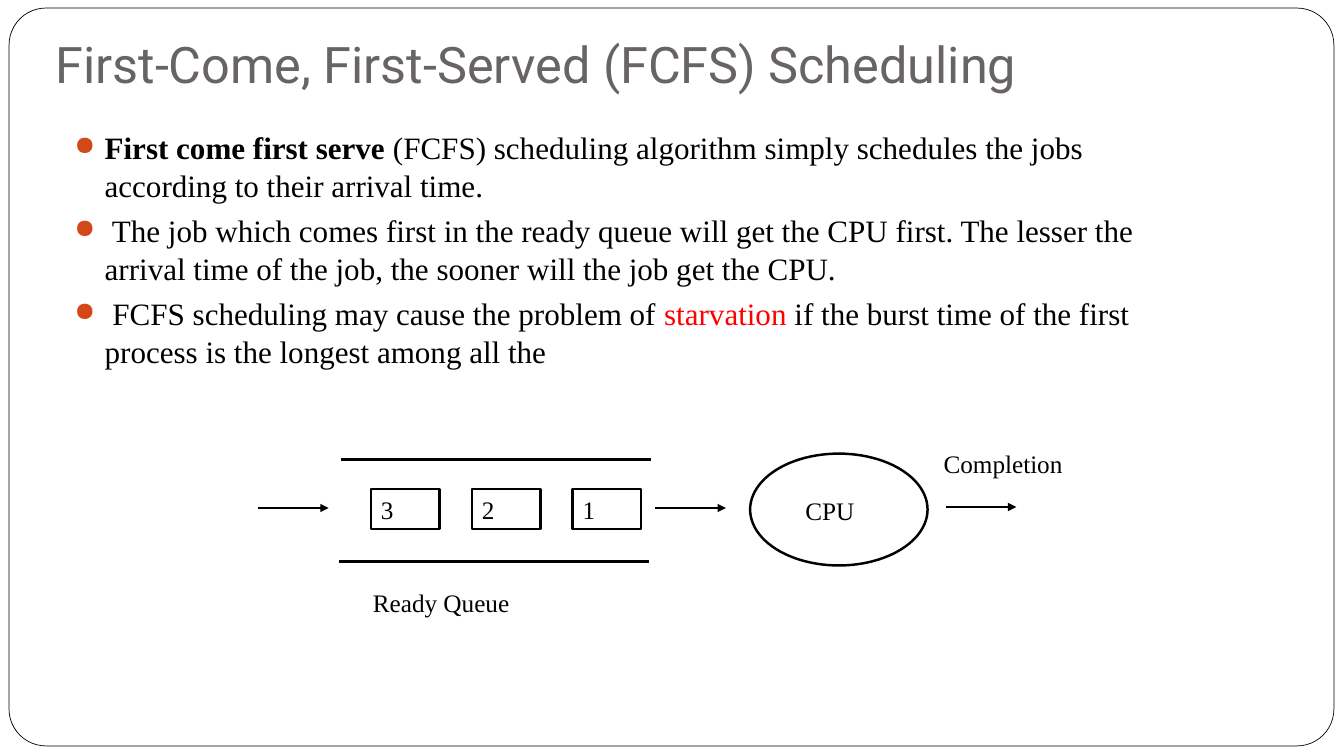
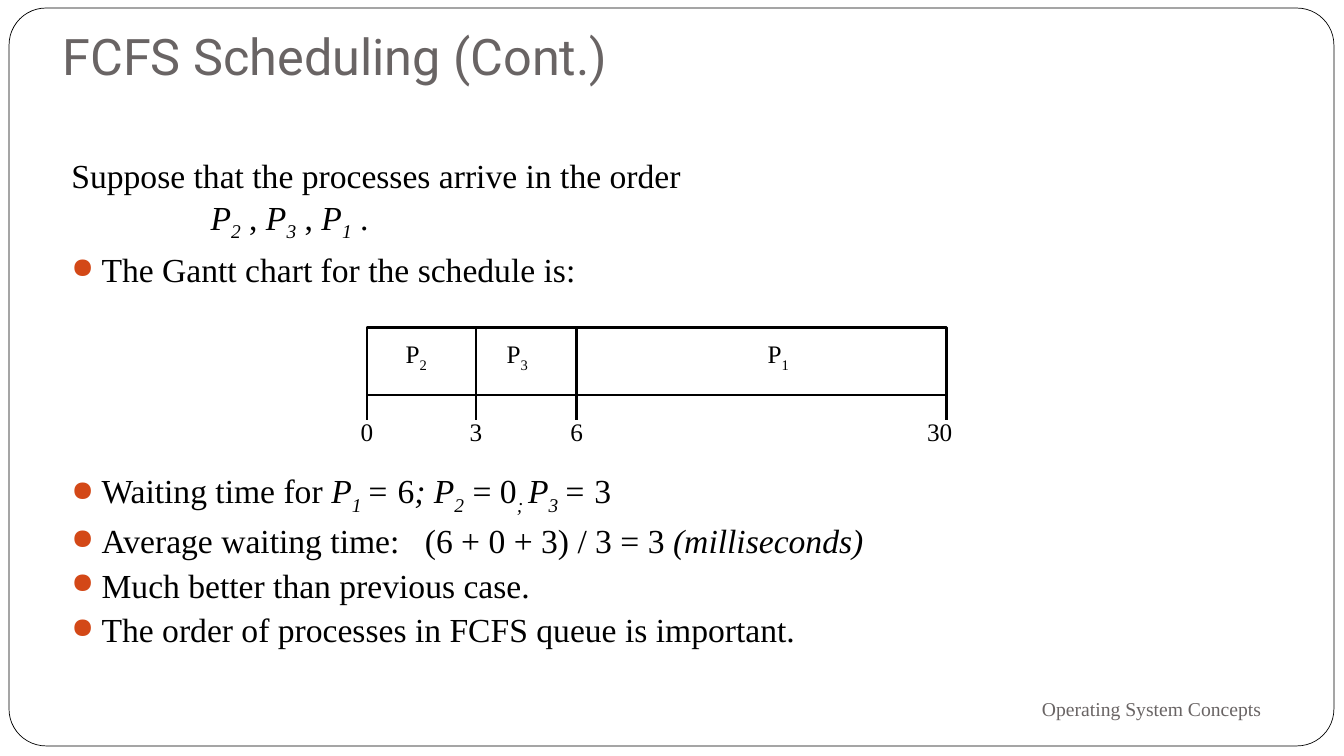
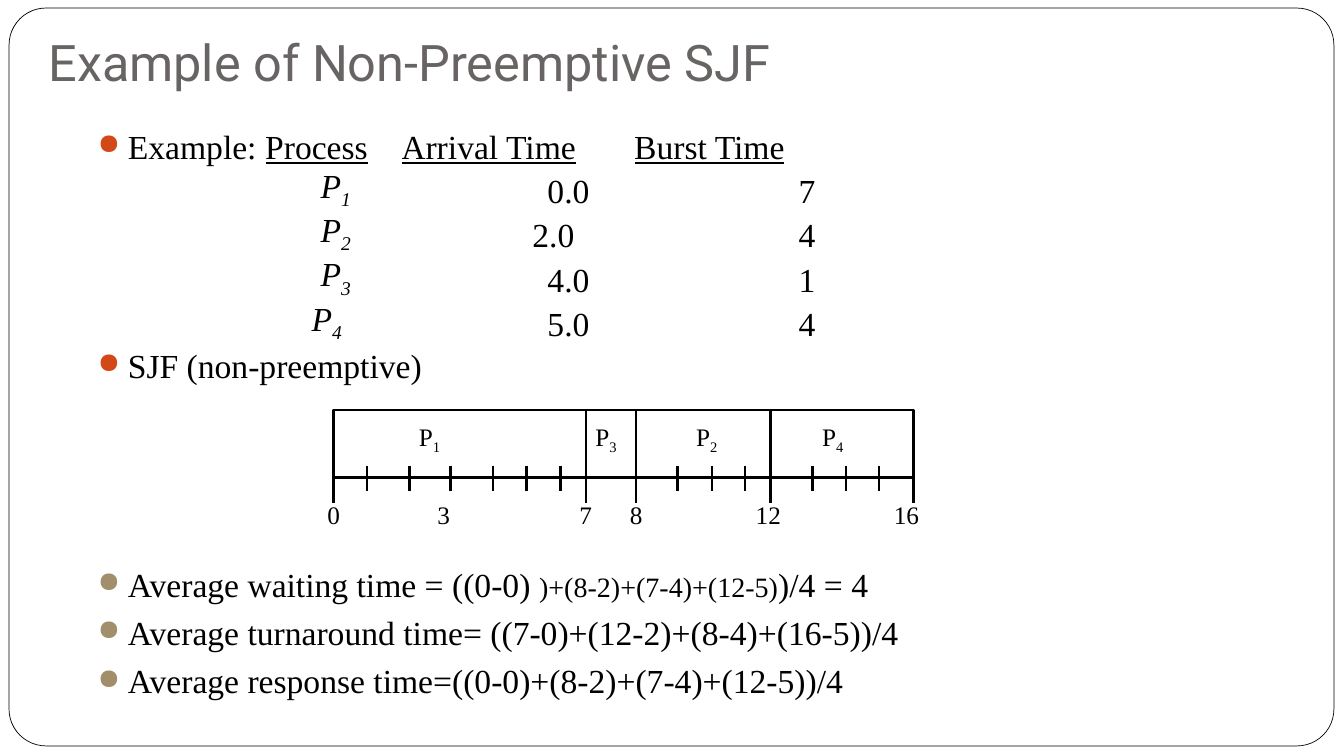
from pptx import Presentation
from pptx import util as u
from pptx.dml.color import RGBColor
from pptx.enum import shapes, text
from pptx.oxml.ns import qn
from lxml import etree

INK, GREY, RED = "000000", "696464", "FF0000"
ORANGE, TAN, WHITE = "D34817", "A28E6A", "FFFFFF"
SERIF = "Times New Roman"
BODY = {"name": SERIF, "size": u.Pt(24), "color": INK}
LABEL = {**BODY, "size": u.Pt(18)}
TITLE = {"name": "Roboto", "size": u.Pt(36), "color": GREY}
ITALIC = {"italic": True}
SUB = {"baseline": "-25000"}
ITALIC_SUB = {**ITALIC, **SUB}


def color(code):
    return RGBColor.from_string(code)


def process(number, **style):
    """Runs for a process name with its subscript number."""
    return [("P", style), (number, {**style, **SUB})]


def add_xml(parent, tag, **values):
    child = etree.SubElement(parent, qn(tag))
    for key, value in values.items():
        child.set(key, value)
    return child


class Slides:
    def __init__(self):
        self.deck = Presentation()
        self.deck.slide_width = u.Inches(13.33)
        self.deck.slide_height = u.Inches(7.5)
        self.page = None

    def new_page(self, title, left, top, width, height):
        self.page = self.deck.slides.add_slide(self.deck.slide_layouts[5])
        frame = self.shape("ROUNDED_RECTANGLE", 0.09, 0.08, 13.14, 7.32, WHITE, 0.5)
        frame.adjustments[0] = 0.05
        self.page.shapes._spTree.insert(2, frame._element)  # send to back
        box = self.page.shapes.title
        self.place(box, left, top, width, height)
        self.format_frame(box.text_frame, text.MSO_ANCHOR.BOTTOM)
        box.text_frame.margin_bottom = u.Inches(0.1)
        para = box.text_frame.paragraphs[0]
        para.alignment = text.PP_ALIGN.LEFT
        self.add_runs(para, [title], TITLE)

    def place(self, item, *bounds):
        for name, value in zip(("left", "top", "width", "height"), bounds):
            setattr(item, name, u.Inches(value))

    def format_frame(self, frame, anchor):
        values = {"word_wrap": True, "auto_size": text.MSO_AUTO_SIZE.NONE,
                  "vertical_anchor": anchor}
        for name, value in values.items():
            setattr(frame, name, value)

    def add_runs(self, para, runs, base):
        """Add runs, each a string or a (string, format) pair."""
        for run in runs:
            words, extra = (run, {}) if isinstance(run, str) else run
            span = para.add_run()
            span.text = words
            for name, value in {**base, **extra}.items():
                if name == "color":
                    span.font.color.rgb = color(value)
                elif name in ("baseline", "spc"):
                    span._r.get_or_add_rPr().set(name, value)
                else:
                    setattr(span.font, name, value)

    def shape(self, kind, left, top, width, height, fill=None, weight=1.75):
        item = self.page.shapes.add_shape(
            getattr(shapes.MSO_SHAPE, kind),
            *map(u.Inches, (left, top, width, height)))
        item.shadow.inherit = False
        if fill:
            item.fill.solid()
            item.fill.fore_color.rgb = color(fill)
        else:
            item.fill.background()
        item.line.color.rgb = color(INK)
        item.line.width = u.Pt(weight)
        return item

    def line(self, x1, y1, x2, y2, arrow=False):
        item = self.page.shapes.add_connector(
            shapes.MSO_CONNECTOR.STRAIGHT, *map(u.Inches, (x1, y1, x2, y2)))
        item.line.color.rgb = color(INK)
        item.line.width = u.Pt(1.75)
        if arrow:
            add_xml(item.line._get_or_add_ln(), "a:tailEnd", type="triangle")
        add_xml(item._element.spPr, "a:effectLst")

    def text_box(self, left, top, width, height, anchor=text.MSO_ANCHOR.TOP):
        box = self.page.shapes.add_textbox(
            *map(u.Inches, (left, top, width, height)))
        self.format_frame(box.text_frame, anchor)
        return box

    def label(self, runs, left, top, width, height=0.4, align="LEFT", base=LABEL):
        box = self.text_box(left, top, width, height, text.MSO_ANCHOR.MIDDLE)
        para = box.text_frame.paragraphs[0]
        para.alignment = getattr(text.PP_ALIGN, align)
        self.add_runs(para, runs, base)

    def centred_label(self, runs, middle, top):
        self.label(runs, middle - 0.3, top, 0.6, align="CENTER")

    def body(self, bounds, items, line=26, gap=5.8, base=BODY):
        """Items are (bullet colour or None, left indent, runs)."""
        frame = self.text_box(*bounds).text_frame
        for index, (bullet, indent, runs) in enumerate(items):
            para = frame.add_paragraph() if index else frame.paragraphs[0]
            para.line_spacing = u.Pt(line)
            para.space_after = u.Pt(gap)
            props = para._p.get_or_add_pPr()
            props.set("marL", str(u.Inches(indent)))
            if bullet:
                props.set("indent", str(-u.Inches(indent)))
                tint = add_xml(props, "a:buClr")
                add_xml(tint, "a:srgbClr", val=bullet)
                add_xml(props, "a:buSzPct", val="85000")
                add_xml(props, "a:buChar", char="●")
            self.add_runs(para, runs, base)

    def table(self, left, top, widths, row_height, rows):
        """Plain table; each cell is (left indent, runs)."""
        grid = self.page.shapes.add_table(
            len(rows), len(widths), u.Inches(left), u.Inches(top),
            u.Inches(sum(widths)), u.Inches(row_height * len(rows))).table
        grid.first_row = grid.horz_banding = False
        for column, width in zip(grid.columns, widths):
            column.width = u.Inches(width)
        for y, row in enumerate(rows):
            for x, (indent, runs) in enumerate(row):
                cell = grid.cell(y, x)
                cell.fill.background()
                cell.margin_left = u.Inches(indent)
                cell.margin_top = cell.margin_right = cell.margin_bottom = 0
                para = cell.text_frame.paragraphs[0]
                para.line_spacing = u.Pt(26)
                self.add_runs(para, runs, BODY)

    def gantt(self, top, bounds, processes, times, ticks=()):
        """Bar with boundaries, and labels given by their middles."""
        bottom = top + 0.67
        self.shape("RECTANGLE", bounds[0], top, bounds[-1] - bounds[0], 0.67, WHITE)
        for x in bounds:
            self.line(x, top, x, bottom + 0.25)
        for x in ticks:
            self.line(x, bottom - 0.12, x, bottom + 0.13)
        for number, x in processes:
            self.centred_label(process(number), x, top + 0.08)
        for time, x in times:
            self.centred_label([time], x, top + 0.83)


def fcfs_page(slides):
    slides.new_page("First-Come, First-Served (FCFS) Scheduling", 0.45, 0.53, 11.55, 0.5)
    points = [
        [("First come first serve", {"bold": True}),
         " (FCFS) scheduling algorithm simply schedules the jobs according to "
         "their arrival time."],
        [" The job which comes first in the ready queue will get the CPU first. "
         "The lesser the arrival time of the job, the sooner will the job get the CPU."],
        [" FCFS scheduling may cause the problem of ", ("starvation", {"color": RED}),
         " if the burst time of the first process is the longest among all the"],
    ]
    slides.body((0.64, 1.22, 11.13, 2.6), [(ORANGE, 0.3, runs) for runs in points],
                line=27, gap=5.4, base={**BODY, "size": u.Pt(22.2)})

    # Ready queue
    for index, job in enumerate("321"):
        left = 3.68 + index
        slides.shape("RECTANGLE", left, 4.85, 0.68, 0.4)
        slides.label([job], left, 4.85, 0.68)
    slides.line(3.38, 4.56, 6.46, 4.56)
    slides.line(3.36, 5.57, 6.44, 5.57)
    slides.label(["Ready Queue"], 3.6, 5.78, 2.62)

    # Processor and flow
    slides.shape("OVAL", 7.44, 4.5, 1.76, 1.11, WHITE)
    slides.label(["CPU"], 7.89, 4.86, 0.9)
    for left, y in ((2.56, 5.04), (6.5, 5.04), (9.38, 5.03)):
        slides.line(left, y, left + 0.7, y, arrow=True)
    slides.label(["Completion"], 9.26, 4.4, 1.61)


def fcfs_continued_page(slides):
    slides.new_page("FCFS Scheduling (Cont.)", 0.52, 0.3, 12.09, 0.65)
    slides.label(["Operating System Concepts"], 9, 6.77, 3.61, 0.52, "RIGHT",
                 {"name": SERIF, "size": u.Pt(14), "color": GREY})
    p1, p2, p3 = (process(number, **ITALIC) for number in "123")
    slides.body((0.61, 1.53, 8.63, 1.5), [
        (None, 0, ["Suppose that the processes arrive in the order"]),
        (None, 1.38, [*p2, " , ", *p3, " , ", *p1, " ."]),
        (ORANGE, 0.3, ["The Gantt chart for the schedule is:"]),
    ], gap=7.5)
    slides.gantt(3.25, (3.64, 4.72, 5.72, 9.39),
                 (("2", 4.13), ("3", 5.13), ("1", 7.72)),
                 (("0", 3.64), ("3", 4.72), ("6", 5.72), ("30", 9.32)))
    points = [
        ["Waiting time for ", *p1, (" ", ITALIC_SUB), ("=", ITALIC), " 6",
         ("; ", ITALIC), *p2, " = 0", ("; ", ITALIC_SUB), *p3, (" ", ITALIC_SUB),
         ("= ", ITALIC), "3"],
        ["Average waiting time:", (" ", {"spc": "1200"}), "(6 + 0 + 3) / 3 = 3 ",
         ("(milliseconds)", ITALIC)],
        ["Much better than previous case."],
        ["The order of processes in FCFS queue is important."],
    ]
    slides.body((0.61, 4.71, 8.63, 1.9), [(ORANGE, 0.3, runs) for runs in points])


def sjf_page(slides):
    slides.new_page("Example of Non-Preemptive SJF", 0.38, 0.31, 11.33, 0.7)

    # Processes with their times
    slides.body((0.87, 1.24, 1.9, 0.46), [(ORANGE, 0.3, ["Example:"])])
    heads = [(0, [(head, {"underline": True})])
             for head in ("Process", "Arrival Time", "Burst Time")]
    jobs = (("1", 0.55, "0.0", 1.45, "7"), ("2", 0.55, "2.0", 1.3, "4"),
            ("3", 0.55, "4.0", 1.45, "1"), ("4", 0.46, "5.0", 1.45, "4"))
    rows = [[(name_indent, process(number, **ITALIC)), (time_indent, [arrival]),
             (1.63, [burst])]
            for number, name_indent, arrival, time_indent, burst in jobs]
    slides.table(2.63, 1.29, (1.35, 2.31, 1.9), 0.44, [heads, *rows])

    # Schedule
    slides.body((0.87, 3.41, 6, 0.46), [(ORANGE, 0.3, ["SJF (non-preemptive)"])])
    slides.gantt(4.07, (3.31, 5.81, 6.31, 7.64, 9.06),
                 (("1", 4.26), ("3", 6.01), ("2", 7.01), ("4", 8.26)),
                 (("0", 3.31), ("3", 4.4), ("7", 5.81), ("8", 6.31),
                  ("12", 7.62), ("16", 8.99)),
                 (3.64, 4.06, 4.47, 4.89, 5.22, 5.56,
                  6.72, 7.06, 7.39, 8.06, 8.39, 8.72))

    # Averages
    points = [
        ["Average waiting time = ((0-0) ",
         (")+(8-2)+(7-4)+(12-5)", {"size": u.Pt(20)}), ")/4 = 4"],
        ["Average turnaround time= ((7-0)+(12-2)+(8-4)+(16-5))/4"],
        ["Average response time=((0-0)+(8-2)+(7-4)+(12-5))/4"],
    ]
    slides.body((0.87, 5.54, 10.06, 1.55), [(TAN, 0.3, runs) for runs in points],
                line=28.8)


def main():
    slides = Slides()
    for build in (fcfs_page, fcfs_continued_page, sjf_page):
        build(slides)
    slides.deck.save("out.pptx")


if __name__ == "__main__":
    main()
